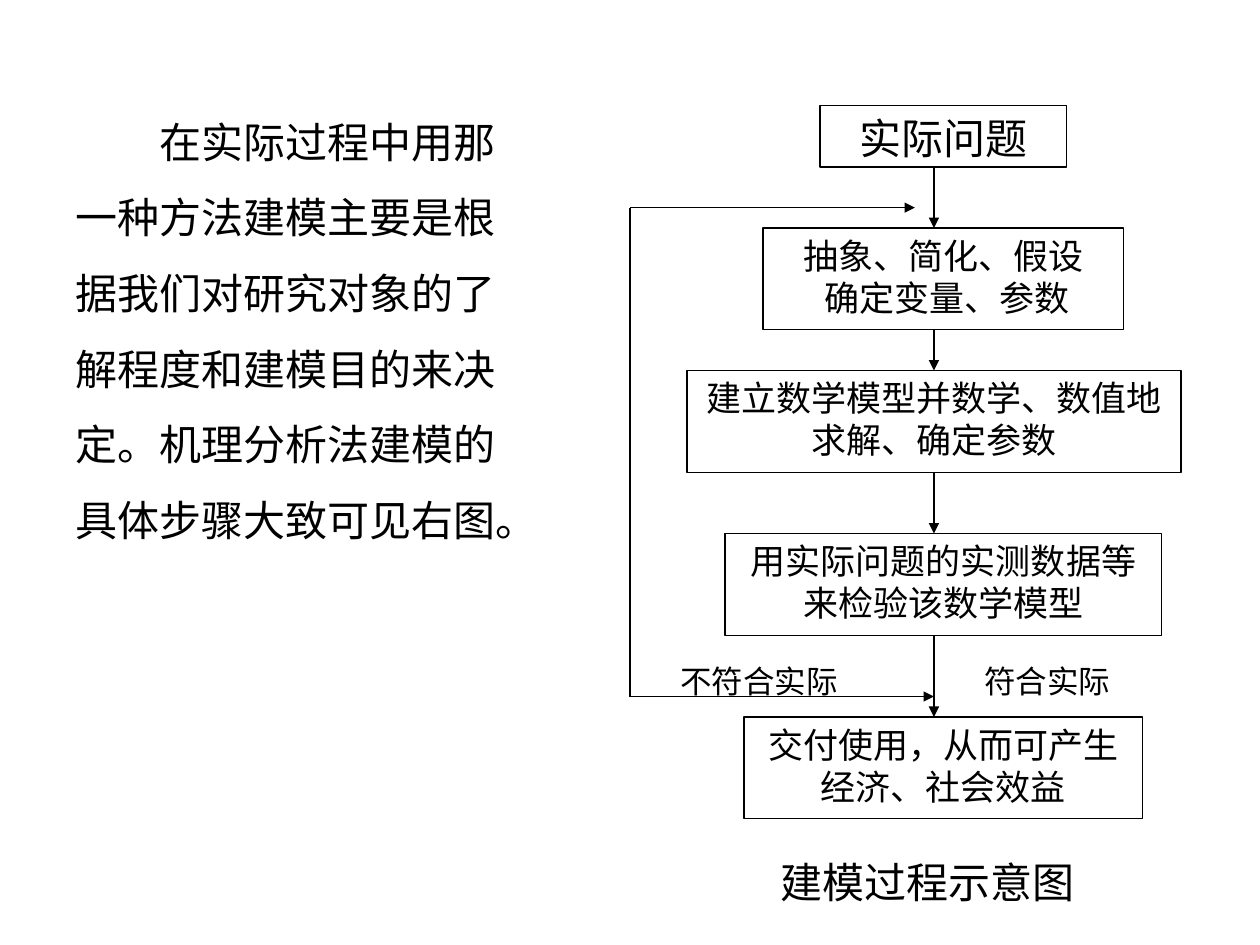
from typing import NamedTuple

from lxml.etree import SubElement
from pptx import Presentation
from pptx.dml.color import RGBColor
from pptx.enum.shapes import MSO_CONNECTOR as Connector, MSO_SHAPE as Shape
from pptx.enum.text import MSO_ANCHOR as Anchor, PP_ALIGN as Align
from pptx.oxml.ns import qn
from pptx.util import Inches, Pt

PAGE_WIDTH, PAGE_HEIGHT = 10, 7.5
LEFT, TOP = 0.5 * PAGE_WIDTH, 0.84
COLUMN, ROW = 3.92 / 26, 4.85 / 30
BLACK, WHITE = "000000", "FFFFFF"
SERIF, SANS = "Times New Roman", "Noto Sans CJK SC"


class Node(NamedTuple):
    """A box of the flow chart, measured in grid columns and rows."""

    text: str
    column: float
    row: float
    columns: float
    rows: float = 5
    size: float = 20
    line: str = BLACK
    align: Align = Align.CENTER
    font: str = SERIF


class Link(NamedTuple):
    """A line between two grid points."""

    start: tuple[float, float]
    end: tuple[float, float]
    arrow: bool = True


class Note(NamedTuple):
    """A free text, placed by shares of the slide's size."""

    text: str
    left: float
    top: float
    width: float
    height: float
    spacing: float = 1
    indent: float = 0


NODES = [
    Node("符合实际", 18, 27, 11, 3, 18, WHITE, Align.JUSTIFY),
    Node("不符合实际", 2, 27, 13, 3, 18, WHITE, Align.JUSTIFY),
    Node("交付使用，从而可产生经济、社会效益", 6, 30, 21),
    Node("实际问题", 10, 0, 13, 3, 24),
    Node("抽象、简化、假设\n 确定变量、参数", 7, 6, 19, font=SANS),
    Node("建立数学模型并数学、数值地求解、确定参数", 3, 13, 26),
    Node("用实际问题的实测数据等来检验该数学模型", 5, 21, 23),
]
STEPS = [(26, 30), (18, 21), (11, 13), (3, 6)]
LINKS = [Link((16, start), (16, end)) for start, end in STEPS] + [
    Link((0, 29), (16, 29)),
    Link((0, 29), (0, 5), arrow=False),
    Link((0, 5), (15, 5)),
]
NOTES = [
    Note(
        "在实际过程中用那一种方法建模主要是根据我们对研究对象的了解程度和建模目的来决定。"
        "机理分析法建模的具体步骤大致可见右图。",
        0.05, 0.09, 0.358, 0.573, 1.5, 0.67,
    ),
    Note("建模过程示意图", 0.61, 0.9, 0.283, 0.067),
]


def color(value: str) -> RGBColor:
    """Turn a hex string into a colour."""
    return RGBColor.from_string(value)


def grid_x(column: float) -> int:
    """Return the horizontal place of a grid column."""
    return Inches(LEFT + column * COLUMN)


def grid_y(row: float) -> int:
    """Return the vertical place of a grid row."""
    return Inches(TOP + row * ROW)


def write_text(box, text: str, size: float, font: str, align: Align) -> None:
    """Fill a box with wrapped black text."""
    frame = box.text_frame
    frame.word_wrap = True
    frame.vertical_anchor = Anchor.TOP
    frame.text = text
    for para in frame.paragraphs:
        para.alignment = align
        for span in para.runs:
            span.font.size = Pt(size)
            span.font.name = font
            span.font.color.rgb = color(BLACK)


def draw_node(page, node: Node) -> None:
    """Draw one box of the flow chart."""
    box = page.shapes.add_shape(
        Shape.RECTANGLE, grid_x(node.column), grid_y(node.row),
        Inches(node.columns * COLUMN), Inches(node.rows * ROW),
    )
    box.shadow.inherit = False
    box.fill.solid()
    box.fill.fore_color.rgb = color(WHITE)
    box.line.color.rgb = color(node.line)
    box.line.width = Pt(0.75)
    write_text(box, node.text, node.size, node.font, node.align)


def draw_link(page, link: Link) -> None:
    """Draw one line, with an arrowhead at its end if wanted."""
    (start_column, start_row), (end_column, end_row) = link.start, link.end
    connector = page.shapes.add_connector(
        Connector.STRAIGHT, grid_x(start_column), grid_y(start_row),
        grid_x(end_column), grid_y(end_row),
    )
    connector.line.color.rgb = color(BLACK)
    connector.line.width = Pt(0.75)
    if link.arrow:
        SubElement(connector.line._get_or_add_ln(), qn("a:tailEnd"), type="triangle")
    SubElement(connector._element.spPr, qn("a:effectLst"))


def draw_note(page, note: Note) -> None:
    """Draw one free text."""
    box = page.shapes.add_textbox(
        Inches(note.left * PAGE_WIDTH), Inches(note.top * PAGE_HEIGHT),
        Inches(note.width * PAGE_WIDTH), Inches(note.height * PAGE_HEIGHT),
    )
    write_text(box, note.text, 24, SERIF, Align.LEFT)
    para = box.text_frame.paragraphs[0]
    para.line_spacing = note.spacing
    para._p.get_or_add_pPr().set("indent", str(Inches(note.indent)))


def main() -> None:
    """Build the slide and save it."""
    deck = Presentation()
    deck.slide_width, deck.slide_height = Inches(PAGE_WIDTH), Inches(PAGE_HEIGHT)
    page = deck.slides.add_slide(deck.slide_layouts[6])
    body, caption = NOTES
    draw_note(page, body)
    for node in NODES:
        draw_node(page, node)
    for link in LINKS:
        draw_link(page, link)
    draw_note(page, caption)
    deck.save("out.pptx")


if __name__ == "__main__":
    main()
